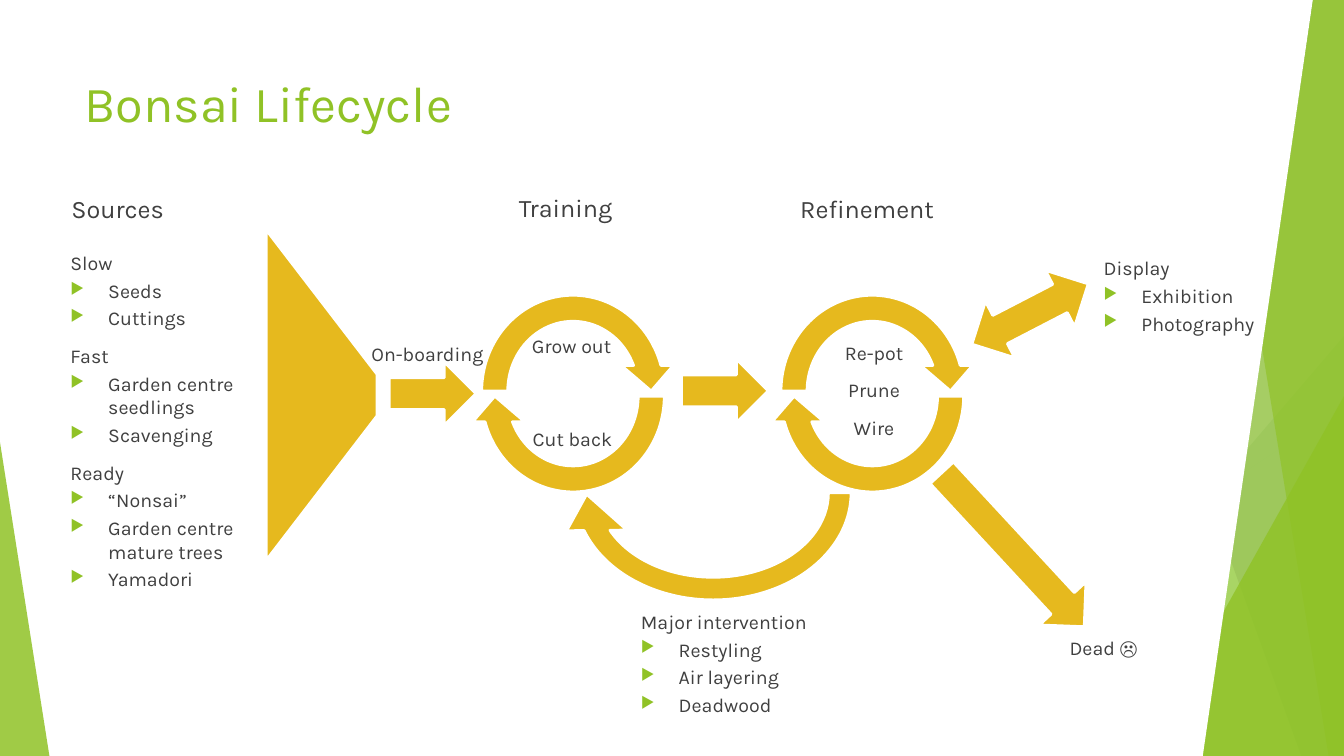
from lxml import etree
from pptx import Presentation
from pptx.dml.color import RGBColor
from pptx.enum.shapes import MSO_CONNECTOR, MSO_SHAPE
from pptx.enum.text import MSO_ANCHOR, PP_ALIGN
from pptx.oxml.ns import qn
from pptx.util import Pt

STRAIGHT = MSO_CONNECTOR.STRAIGHT
TRIANGLE = MSO_SHAPE.ISOSCELES_TRIANGLE
PARALLELOGRAM = MSO_SHAPE.PARALLELOGRAM
TRAPEZOID = MSO_SHAPE.TRAPEZOID
CIRCULAR_ARROW = MSO_SHAPE.CIRCULAR_ARROW
RIGHT_ARROW = MSO_SHAPE.RIGHT_ARROW
LEFT_RIGHT_ARROW = MSO_SHAPE.LEFT_RIGHT_ARROW
TOP = MSO_ANCHOR.TOP
LEFT, CENTER = PP_ALIGN.LEFT, PP_ALIGN.CENTER

WIDTH, HEIGHT = 960, 540
COLORS = {
    "green": "90C226",
    "mid_green": "54A021",
    "dark_green": "3F7819",
    "pale_green": "C0E474",
    "gold": "E6B91E",
    "white": "FFFFFF",
    "text": "404040",
    "rule": "D9D9D9",
}


def rgb(color):
    return RGBColor.from_string(COLORS[color])


class LifecycleSlide:
    font = "Karla"
    indent = 27
    arrow_depth = 45.4

    def __init__(self, slide):
        self.shapes = slide.shapes

    def paint(self, shape, fill, opacity=100, line=None, line_width=2):
        shape.shadow.inherit = False
        shape.fill.solid()
        shape.fill.fore_color.rgb = rgb(fill)
        if opacity < 100:
            color = shape._element.spPr.find(qn("a:solidFill"))[0]
            etree.SubElement(color, qn("a:alpha"), val=str(opacity * 1000))
        if line:
            shape.line.color.rgb = rgb(line)
            shape.line.width = Pt(line_width)
        else:
            shape.line.fill.background()

    def shape(self, kind, left, top, width, height, fill="gold", rotation=0,
              adjustments=(), **style):
        shape = self.shapes.add_shape(kind, Pt(left), Pt(top), Pt(width), Pt(height))
        shape.rotation = rotation
        for index, value in enumerate(adjustments):
            shape.adjustments[index] = value
        self.paint(shape, fill, **style)

    def arrow(self, kind, left, top, width, height=arrow_depth, **style):
        self.shape(kind, left, top, width, height, line="white", **style)

    def cycle(self, left):
        for top, rotation in ((201.6, 0), (205.2, 180)):
            self.arrow(CIRCULAR_ARROW, left, top, 149, 155.5, rotation=rotation)

    def edge_band(self, top_x, bottom_x, fill, opacity):
        outline = self.shapes.build_freeform(Pt(top_x), 0, scale=1.0)
        corners = ((WIDTH, 0), (WIDTH, HEIGHT), (bottom_x, HEIGHT))
        outline.add_line_segments([(Pt(x), Pt(y)) for x, y in corners], close=True)
        self.paint(outline.convert_to_shape(), fill, opacity)

    def rule(self, x1, y1, x2, y2):
        rule = self.shapes.add_connector(STRAIGHT, Pt(x1), Pt(y1), Pt(x2), Pt(y2))
        rule.line.color.rgb = rgb("rule")
        rule.line.width = Pt(0.75)
        etree.SubElement(rule._element.spPr, qn("a:effectLst"))

    def bullet(self, paragraph):
        properties = paragraph._p.get_or_add_pPr()
        properties.set("marL", str(Pt(self.indent)))
        properties.set("indent", str(-Pt(self.indent)))
        color = etree.SubElement(properties, qn("a:buClr"))
        etree.SubElement(color, qn("a:srgbClr"), val=COLORS["green"])
        etree.SubElement(properties, qn("a:buSzPct"), val="80000")
        etree.SubElement(properties, qn("a:buChar"), char="▶")

    def add_text(self, paragraph, text, size=14, color="text", align=LEFT,
                 before=10, bulleted=False):
        paragraph.alignment = align
        paragraph.space_before = Pt(before)
        if bulleted:
            self.bullet(paragraph)
        run = paragraph.add_run()
        run.text = text
        run.font.name = self.font
        run.font.size = Pt(size)
        run.font.color.rgb = rgb(color)

    def frame(self, left, top, width, height):
        frame = self.shapes.add_textbox(Pt(left), Pt(top), Pt(width), Pt(height)).text_frame
        frame.word_wrap = True
        frame.vertical_anchor = TOP
        return frame

    def lines(self, texts, left, top, width, height, **style):
        frame = self.frame(left, top, width, height)
        for index, text in enumerate(texts):
            paragraph = frame.add_paragraph() if index else frame.paragraphs[0]
            self.add_text(paragraph, text, **style)

    def label(self, left, top, *texts, height=56):
        self.lines(texts, left, top, 126.7, height, align=CENTER)

    def topics(self, left, top, width, height, groups):
        frame = self.frame(left, top, width, height)
        for index, (heading, items) in enumerate(groups.items()):
            paragraph = frame.add_paragraph() if index else frame.paragraphs[0]
            self.add_text(paragraph, heading)
            for item in items:
                self.add_text(frame.add_paragraph(), item, before=3, bulleted=True)


def draw_backdrop(page):
    page.rule(960, 290, 584.6, 540)
    page.edge_band(884, 723, "green", 30)
    page.edge_band(756, 852, "green", 20)
    page.shape(TRIANGLE, 703.4, 240, 256.6, 300, "mid_green", adjustments=[1], opacity=72)
    page.edge_band(735, 929.5, "dark_green", 70)
    page.edge_band(938, 858, "pale_green", 70)
    page.edge_band(861, 949, "green", 65)
    page.shape(TRIANGLE, 816.5, 283, 143.5, 257, "green", adjustments=[1], opacity=80)
    page.shape(TRIANGLE, 0, 316, 35.3, 224, "green", adjustments=[0], opacity=85)
    page.shape(PARALLELOGRAM, 538, 0, 399, 540, "white", adjustments=[0.197],
               line="white", line_width=1.5)


def draw_flow(page):
    page.arrow(TRAPEZOID, 111.6, 242.6, 236.2, 79.2, rotation=90, adjustments=[1.303])
    for training_or_refinement in (334.8, 548.6):
        page.cycle(training_or_refinement)
    page.arrow(RIGHT_ARROW, 278, 258.5, 62)
    page.arrow(RIGHT_ARROW, 486.7, 256.5, 62)
    page.arrow(CIRCULAR_ARROW, 397.4, 262, 224, 180, rotation=180,
               adjustments=[0.09, 10.36, 205.26, 108, 0.12])
    page.arrow(LEFT_RIGHT_ARROW, 689, 201.6, 93.6, rotation=332.6)
    page.arrow(RIGHT_ARROW, 648.7, 370, 149.8, rotation=47.2)


def add_texts(page):
    page.lines(["Bonsai Lifecycle"], 53.3, 48.2, 795.6, 90.7,
               size=36, color="green", before=0)
    for stage, left, top, width in (("Sources", 43.9, 134.6, 85),
                                    ("Training", 363.6, 133.9, 85),
                                    ("Refinement", 564.5, 134.6, 124)):
        page.lines([stage], left, top, width, 46, size=18)
    page.topics(43.2, 175.7, 145.4, 345.6, {
        "Slow": ["Seeds", "Cuttings"],
        "Fast": ["Garden centre seedlings", "Scavenging"],
        "Ready": ["“Nonsai”", "Garden centre mature trees", "Yamadori"],
    })
    page.topics(781.2, 179.3, 145.4, 82, {"Display": ["Exhibition", "Photography"]})
    page.topics(450.7, 432, 160, 91.4, {
        "Major intervention": ["Restyling", "Air layering", "Deadwood"],
    })
    page.label(242, 240.5, "On-boarding")
    page.label(345, 234.7, "Grow out")
    page.label(345.6, 301.7, "Cut back")
    page.label(561, 239.8, "Re-pot", "Prune", "Wire", height=98)
    page.label(725, 450.7, "Dead ☹")


def main():
    deck = Presentation()
    deck.slide_width, deck.slide_height = Pt(WIDTH), Pt(HEIGHT)
    page = LifecycleSlide(deck.slides.add_slide(deck.slide_layouts[6]))
    draw_backdrop(page)
    draw_flow(page)
    add_texts(page)
    deck.save("out.pptx")


if __name__ == "__main__":
    main()
